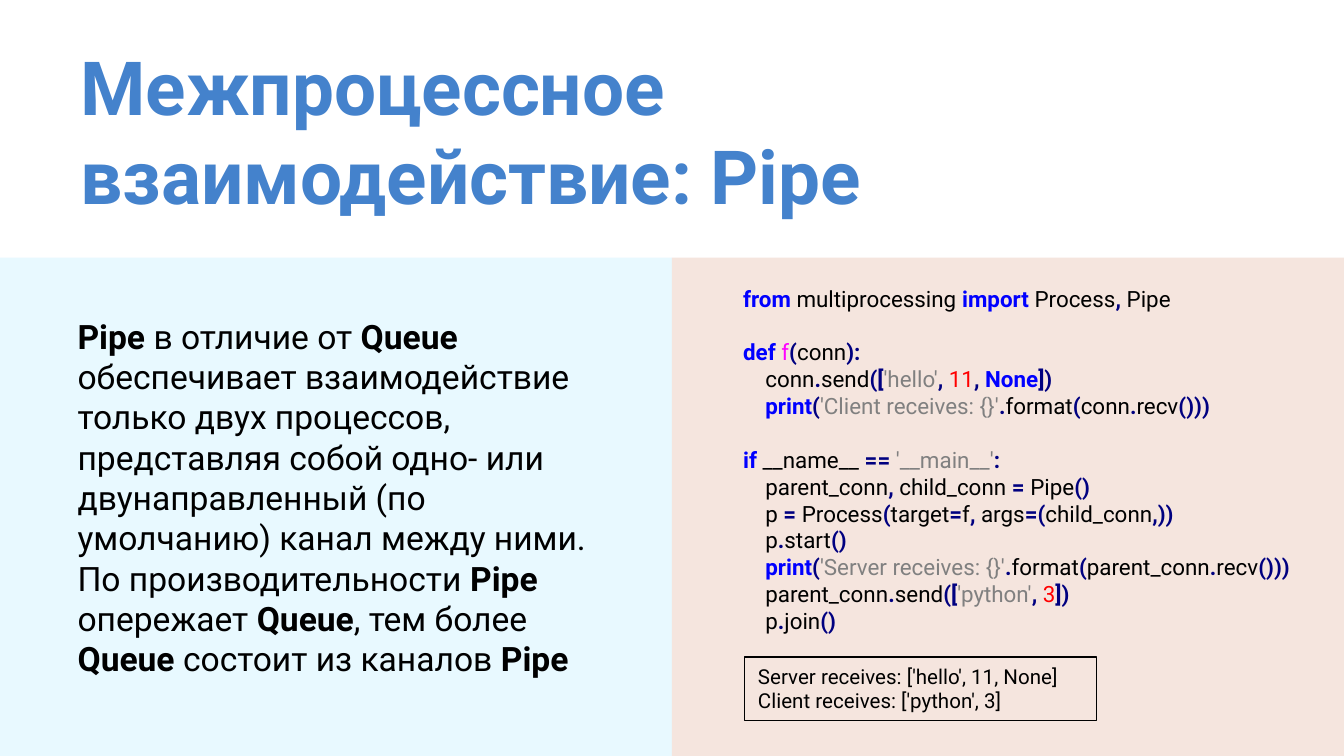
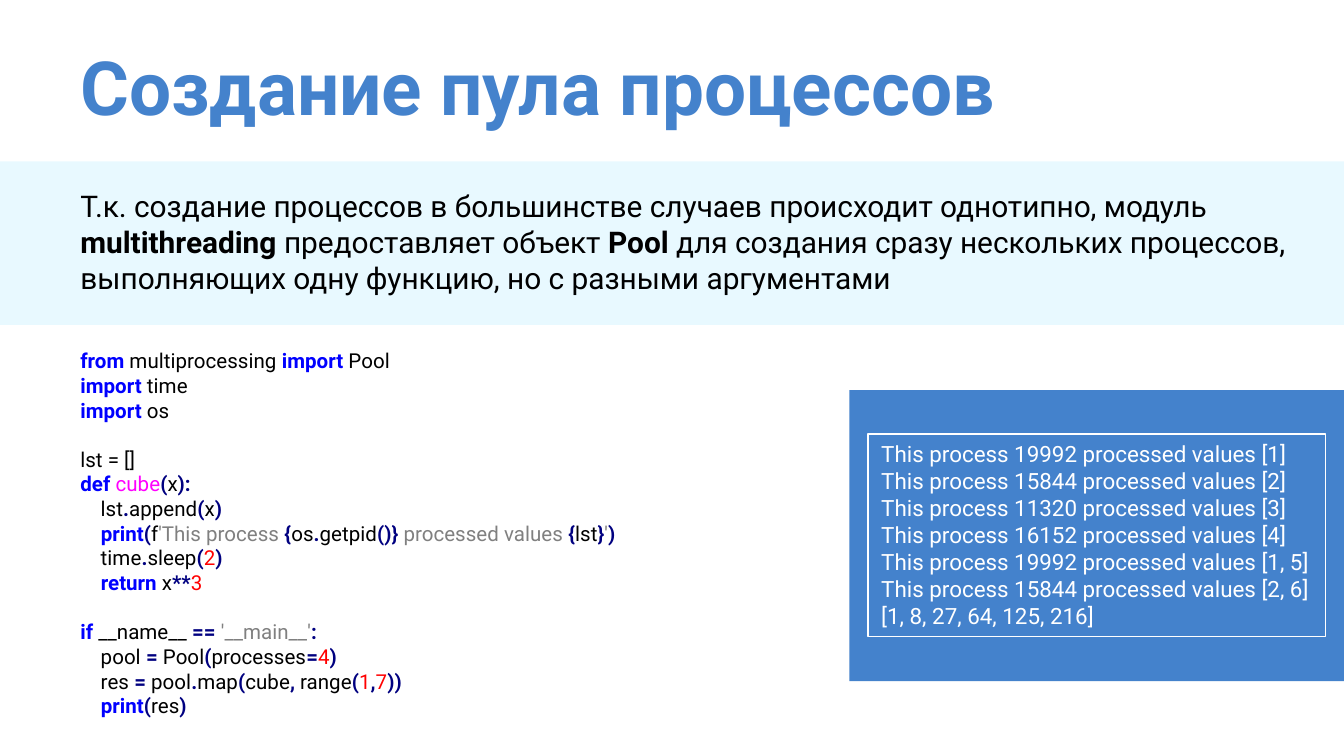
from dataclasses import dataclass
from itertools import groupby

from pptx import Presentation
from pptx.dml.color import RGBColor
from pptx.enum.shapes import MSO_SHAPE
from pptx.enum.text import MSO_ANCHOR, MSO_AUTO_SIZE, PP_ALIGN
from pptx.util import Pt

RECT = MSO_SHAPE.RECTANGLE
TOP, LEFT = MSO_ANCHOR.TOP, PP_ALIGN.LEFT
NO_FIT = MSO_AUTO_SIZE.NONE


@dataclass(frozen=True)
class Theme:
    font: str = "Roboto"
    blue: str = "4482CC"
    sky: str = "E8F9FF"
    sand: str = "F5E5DE"
    ink: str = "000000"
    white: str = "FFFFFF"
    key: str = "0000FF"
    name: str = "FF00FF"
    mark: str = "000080"
    quote: str = "808080"
    digit: str = "FF0000"
    title: int = 40
    pitch: float = 1.2
    rule: float = 0.75


T = Theme()
KEYS = {"from", "import", "def", "if", "return", "print", "None"}
PLAIN = {"lst = []"}

# Boxes are left, top, width, height; ** switches bold on and off.
SLIDES = [
    {
        "title": ("Межпроцессное взаимодействие: Pipe", 640),
        "panels": [
            (T.sky, (0, 138, 360, 267)),
            (T.sand, (360, 138, 360, 267)),
        ],
        "body": (18, (34.5, 165.5, 297, 204),
                 "**Pipe **в отличие от **Queue **обеспечивает взаимодействие "
                 "только двух процессов, представляя собой одно- или "
                 "двунаправленный (по умолчанию) канал между ними. "
                 "По производительности **Pipe** опережает **Queue**, "
                 "тем более **Queue** состоит из каналов **Pipe**"),
        "code": (12, (391, 149, 317, 196.5), """\
from multiprocessing import Process, Pipe

def f(conn):
    conn.send(['hello', 11, None])
    print('Client receives: {}'.format(conn.recv()))

if __name__ == '__main__':
    parent_conn, child_conn = Pipe()
    p = Process(target=f, args=(child_conn,))
    p.start()
    print('Server receives: {}'.format(parent_conn.recv()))
    parent_conn.send(['python', 3])
    p.join()"""),
        "output": (11, T.ink, (399, 352, 188.5, 34), [
            "Server receives: ['hello', 11, None]",
            "Client receives: ['python', 3]",
        ]),
    },
    {
        "title": ("Создание пула процессов", 684),
        "panels": [
            (T.sky, (0, 86.5, 720, 87.5)),
            (T.blue, (455, 209, 265, 156)),
        ],
        "body": (16, (36, 97, 671, 65.5),
                 "Т.к. создание процессов в большинстве случаев происходит "
                 "однотипно, модуль **multithreading **предоставляет объект "
                 "**Pool **для создания сразу нескольких процессов, "
                 "выполняющих одну функцию, но с разными аргументами"),
        "code": (11, (36, 183, 324, 207.5), """\
from multiprocessing import Pool
import time
import os

lst = []
def cube(x):
    lst.append(x)
    print(f'This process {os.getpid()} processed values {lst}')
    time.sleep(2)
    return x**3

if __name__ == '__main__':
    pool = Pool(processes=4)
    res = pool.map(cube, range(1,7))
    print(res)"""),
        "output": (12, T.white, (465, 232.5, 245, 108.5), [
            "This process 19992 processed values [1]",
            "This process 15844 processed values [2]",
            "This process 11320 processed values [3]",
            "This process 16152 processed values [4]",
            "This process 19992 processed values [1, 5]",
            "This process 15844 processed values [2, 6]",
            "[1, 8, 27, 64, 125, 216]",
        ]),
    },
]


def rgb(code):
    return RGBColor.from_string(code)


def points(box):
    return [Pt(n) for n in box]


def add_run(para, text, size, color, bold=False):
    run = para.add_run()
    run.text = text
    font = run.font
    font.name, font.size, font.bold = T.font, Pt(size), bold
    font.color.rgb = rgb(color)


def set_frame(shape):
    frame = shape.text_frame
    frame.word_wrap = True
    frame.auto_size = NO_FIT
    frame.vertical_anchor = TOP
    return frame


def next_para(frame, first):
    para = frame.paragraphs[0] if first else frame.add_paragraph()
    para.alignment = LEFT
    return para


def add_rect(slide, box, fill=None, line=None):
    shape = slide.shapes.add_shape(RECT, *points(box))
    shape.shadow.inherit = False
    if fill:
        shape.fill.solid()
        shape.fill.fore_color.rgb = rgb(fill)
    else:
        shape.fill.background()
    if line:
        shape.line.color.rgb = rgb(line)
        shape.line.width = Pt(T.rule)
    else:
        shape.line.fill.background()
    return shape


def split_words(line):
    """Yield whole words, and every other character on its own."""
    for word, part in groupby(line, lambda c: c.isalnum() or c == "_"):
        yield from ["".join(part)] if word else part


def paint(line):
    """Yield (colour, text) runs of one line of Python."""
    if line in PLAIN:
        yield T.ink, line
        return
    spans, last = [], ""
    quoted = hole = False
    live = "f'" in line
    for word in split_words(line):
        if word == "'":
            quoted, color = not quoted, T.quote
        elif quoted and live and word in "{}":
            hole, color = word == "{", T.mark
        elif quoted and not hole:
            color = T.quote
        elif word in KEYS:
            color = T.key
        elif last == "def":
            color = T.name
        elif word.isdigit():
            color = T.digit
        elif word.isspace() or word.isidentifier():
            color = T.ink
        else:
            color = T.mark
        spans.append((color, word))
        last = word if word.strip() else last
    for color, group in groupby(spans, lambda s: s[0]):
        yield color, "".join(word for _, word in group)


def add_title(slide, text, width):
    title = slide.shapes.title
    title.left, title.top, title.width, title.height = points(
        (36, 14.5, width, 54.5))
    frame = set_frame(title)
    frame.margin_left = frame.margin_right = Pt(7.2)
    frame.margin_top = frame.margin_bottom = Pt(7.2)
    add_run(next_para(frame, True), text, T.title, T.blue, True)


def add_body(slide, size, box, text):
    frame = set_frame(slide.shapes.add_textbox(*points(box)))
    para = next_para(frame, True)
    for i, part in enumerate(text.split("**")):
        if part:
            add_run(para, part, size, T.ink, i % 2 == 1)


def add_code(slide, size, box, code):
    """Set code line by line; an empty line becomes space before the next."""
    frame = set_frame(slide.shapes.add_textbox(*points(box)))
    for b, block in enumerate(code.split("\n\n")):
        for i, line in enumerate(block.split("\n")):
            para = next_para(frame, b + i == 0)
            if b and i == 0:
                para.space_before = Pt(size * T.pitch)
            for color, text in paint(line):
                add_run(para, text, size, color, color in (T.key, T.mark))


def add_output(slide, size, color, box, lines):
    frame = set_frame(add_rect(slide, box, line=color))
    for i, line in enumerate(lines):
        add_run(next_para(frame, i == 0), line, size, color)


def main():
    prs = Presentation()
    prs.slide_width, prs.slide_height = Pt(720), Pt(405)
    for item in SLIDES:
        slide = prs.slides.add_slide(prs.slide_layouts[5])
        add_title(slide, *item["title"])
        for fill, box in item["panels"]:
            add_rect(slide, box, fill)
        add_body(slide, *item["body"])
        add_code(slide, *item["code"])
        add_output(slide, *item["output"])
    prs.save("out.pptx")


if __name__ == "__main__":
    main()
